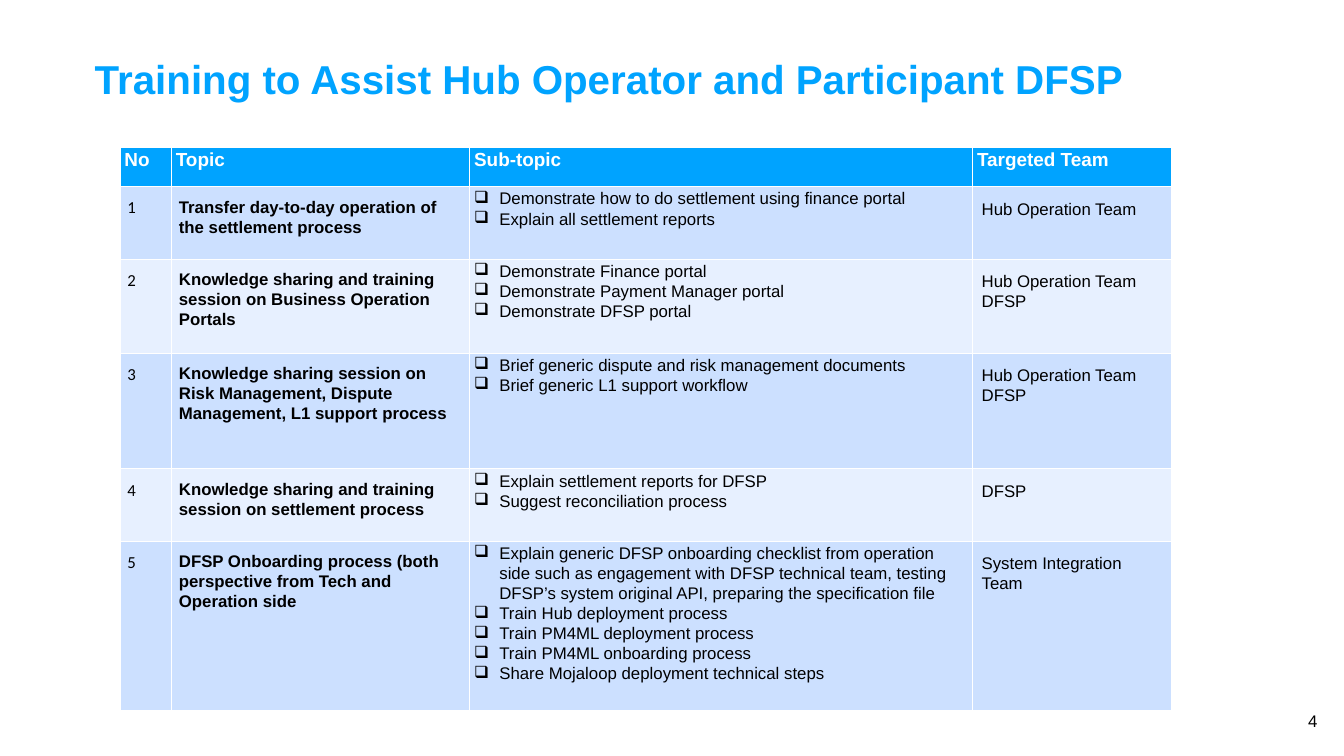
import pptx
import pptx.dml.color
import pptx.enum.text
import pptx.oxml
import pptx.oxml.ns
import pptx.util

Inches = pptx.util.Inches
Pt = pptx.util.Pt
RGBColor = pptx.dml.color.RGBColor
Anchor = pptx.enum.text.MSO_ANCHOR
Align = pptx.enum.text.PP_ALIGN

BLUE = RGBColor(0x00, 0xA3, 0xFF)
BAND_DARK = RGBColor(0xCC, 0xE0, 0xFF)
BAND_LIGHT = RGBColor(0xE7, 0xF0, 0xFF)
WHITE = RGBColor(0xFF, 0xFF, 0xFF)
BLACK = RGBColor(0x00, 0x00, 0x00)

HEADERS = ["No", "Topic", "Sub-topic", "Targeted Team"]
COLUMN_WIDTHS = [1.02, 5.92, 9.98, 3.94]
ROW_HEIGHTS = [0.77, 1.44, 1.87, 2.29, 1.44, 3.35]
HEADER_INSETS = (0.09, 0.04, 0.09, 0.04)
TOPIC_INSETS = (0.15, 0.2, 0.15, 0)
TEAM_INSETS = (0.18, 0.24, 0.18, 0)

TRAININGS = [
    ("Transfer day-to-day operation of the settlement process",
     ["Demonstrate how to do settlement using finance portal",
      "Explain all settlement reports"],
     ["Hub Operation Team"]),
    ("Knowledge sharing and training session on Business Operation Portals",
     ["Demonstrate Finance portal",
      "Demonstrate Payment Manager portal",
      "Demonstrate DFSP portal"],
     ["Hub Operation Team", "DFSP"]),
    ("Knowledge sharing session on Risk Management, Dispute Management, L1 support process",
     ["Brief generic dispute and risk management documents",
      "Brief generic L1 support workflow"],
     ["Hub Operation Team", "DFSP"]),
    ("Knowledge sharing and training session on settlement process",
     ["Explain settlement reports for DFSP",
      "Suggest reconciliation process"],
     ["DFSP"]),
    ("DFSP Onboarding process (both perspective from Tech and Operation side",
     ["Explain generic DFSP onboarding checklist from operation side such as engagement "
      "with DFSP technical team, testing DFSP’s system original API, preparing the "
      "specification file",
      "Train Hub deployment process",
      "Train PM4ML deployment process",
      "Train PM4ML onboarding process",
      "Share Mojaloop deployment technical steps"],
     ["System Integration Team"]),
]


class SlideBuilder:
    font_name = "Arial"
    body_size = 24

    def __init__(self, slide):
        self.slide = slide

    def format_text(self, text_frame, size=body_size, color=BLACK, bold=False, font_name=font_name):
        for paragraph in text_frame.paragraphs:
            for run in paragraph.runs:
                run.font.name = font_name
                run.font.size = Pt(size)
                run.font.bold = bold
                run.font.color.rgb = color

    def title(self, text, left, top, width, height):
        shape = self.slide.shapes.title
        shape.left, shape.top = Inches(left), Inches(top)
        shape.width, shape.height = Inches(width), Inches(height)
        text_frame = shape.text_frame
        text_frame.text = text
        text_frame.word_wrap = True
        text_frame.vertical_anchor = Anchor.TOP
        text_frame.paragraphs[0].alignment = Align.LEFT
        text_frame.paragraphs[0].line_spacing = 0.9
        self.format_text(text_frame, 57.6, BLUE, True)

    def page_number(self, text, left, top, width, height):
        shape = self.slide.shapes.add_textbox(
            Inches(left), Inches(top), Inches(width), Inches(height))
        text_frame = shape.text_frame
        text_frame.text = text
        text_frame.word_wrap = True
        text_frame.vertical_anchor = Anchor.MIDDLE
        text_frame.paragraphs[0].alignment = Align.RIGHT
        self.format_text(text_frame)

    def table(self, left, top, column_widths, row_heights):
        table = self.slide.shapes.add_table(
            len(row_heights), len(column_widths), Inches(left), Inches(top),
            Inches(sum(column_widths)), Inches(sum(row_heights))).table
        for column, width in zip(table.columns, column_widths):
            column.width = Inches(width)
        for row, height in zip(table.rows, row_heights):
            row.height = Inches(height)
        return table

    def cell(self, cell, lines, fill, insets, line_spacing=1.07, bullets=False,
             top_border=1, bottom_border=1, **style):
        margins = [Inches(inset) for inset in insets]
        cell.margin_left, cell.margin_top, cell.margin_right, cell.margin_bottom = margins
        cell.text_frame.text = "\n".join(lines)
        for paragraph in cell.text_frame.paragraphs:
            if bullets:
                self.bullet(paragraph)
            paragraph.line_spacing = line_spacing
        self.format_text(cell.text_frame, **style)
        self.borders(cell, top_border, bottom_border)
        cell.fill.solid()
        cell.fill.fore_color.rgb = fill

    def bullet(self, paragraph):
        properties = paragraph._p.get_or_add_pPr()
        properties.set("marL", str(Inches(0.5)))
        properties.set("indent", str(-Inches(0.5)))
        properties.append(pptx.oxml.parse_xml(
            f'<a:buChar {pptx.oxml.ns.nsdecls("a")} char="❑"/>'))

    def borders(self, cell, top, bottom):
        properties = cell._tc.get_or_add_tcPr()
        for side, width in (("L", 1), ("R", 1), ("T", top), ("B", bottom)):
            properties.append(pptx.oxml.parse_xml(
                f'<a:ln{side} {pptx.oxml.ns.nsdecls("a")} w="{Pt(width)}">'
                f'<a:solidFill><a:srgbClr val="{WHITE}"/></a:solidFill></a:ln{side}>'))


def main():
    presentation = pptx.Presentation()
    presentation.slide_width = Inches(26.67)
    presentation.slide_height = Inches(15)
    builder = SlideBuilder(presentation.slides.add_slide(presentation.slide_layouts[5]))

    builder.title("Training to Assist Hub Operator and Participant DFSP", 1.78, 1.13, 20.86, 1.15)
    builder.page_number("4", 25.04, 13.9, 1.2, 0.8)

    table = builder.table(2.38, 2.93, COLUMN_WIDTHS, ROW_HEIGHTS)
    for column, header in enumerate(HEADERS):
        builder.cell(table.cell(0, column), [header], BLUE, HEADER_INSETS, line_spacing=1.0,
                     bottom_border=3, size=27, color=WHITE, bold=True)
    for row, (topic, subtopics, teams) in enumerate(TRAININGS, start=1):
        band = {"fill": BAND_DARK if row % 2 else BAND_LIGHT,
                "top_border": 3 if row == 1 else 1}
        builder.cell(table.cell(row, 0), [str(row)], insets=TOPIC_INSETS,
                     font_name="Calibri", **band)
        builder.cell(table.cell(row, 1), [topic], insets=TOPIC_INSETS, bold=True, **band)
        builder.cell(table.cell(row, 2), subtopics, insets=HEADER_INSETS, bullets=True, **band)
        builder.cell(table.cell(row, 3), teams, insets=TEAM_INSETS, **band)

    presentation.save("out.pptx")


if __name__ == "__main__":
    main()
